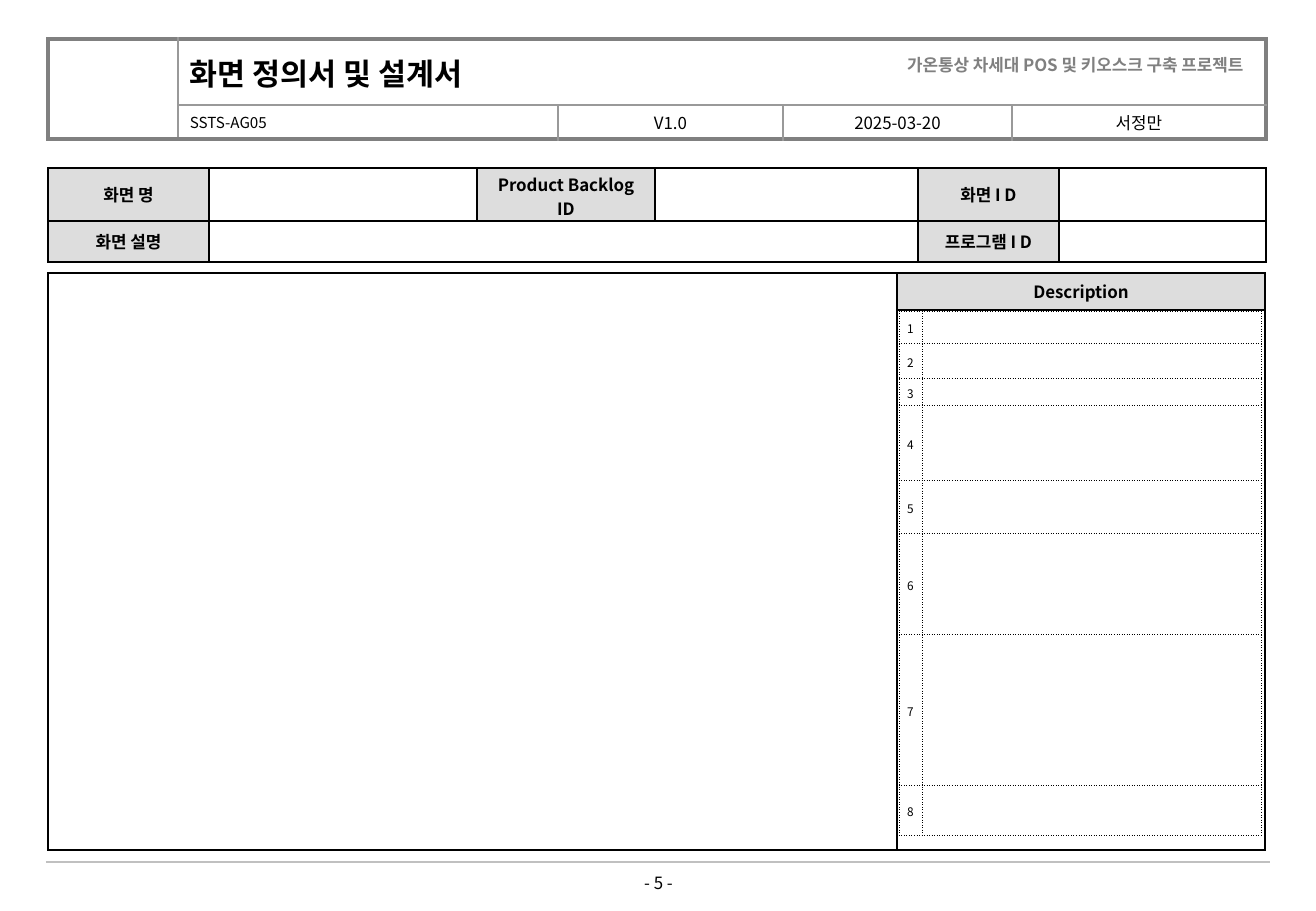
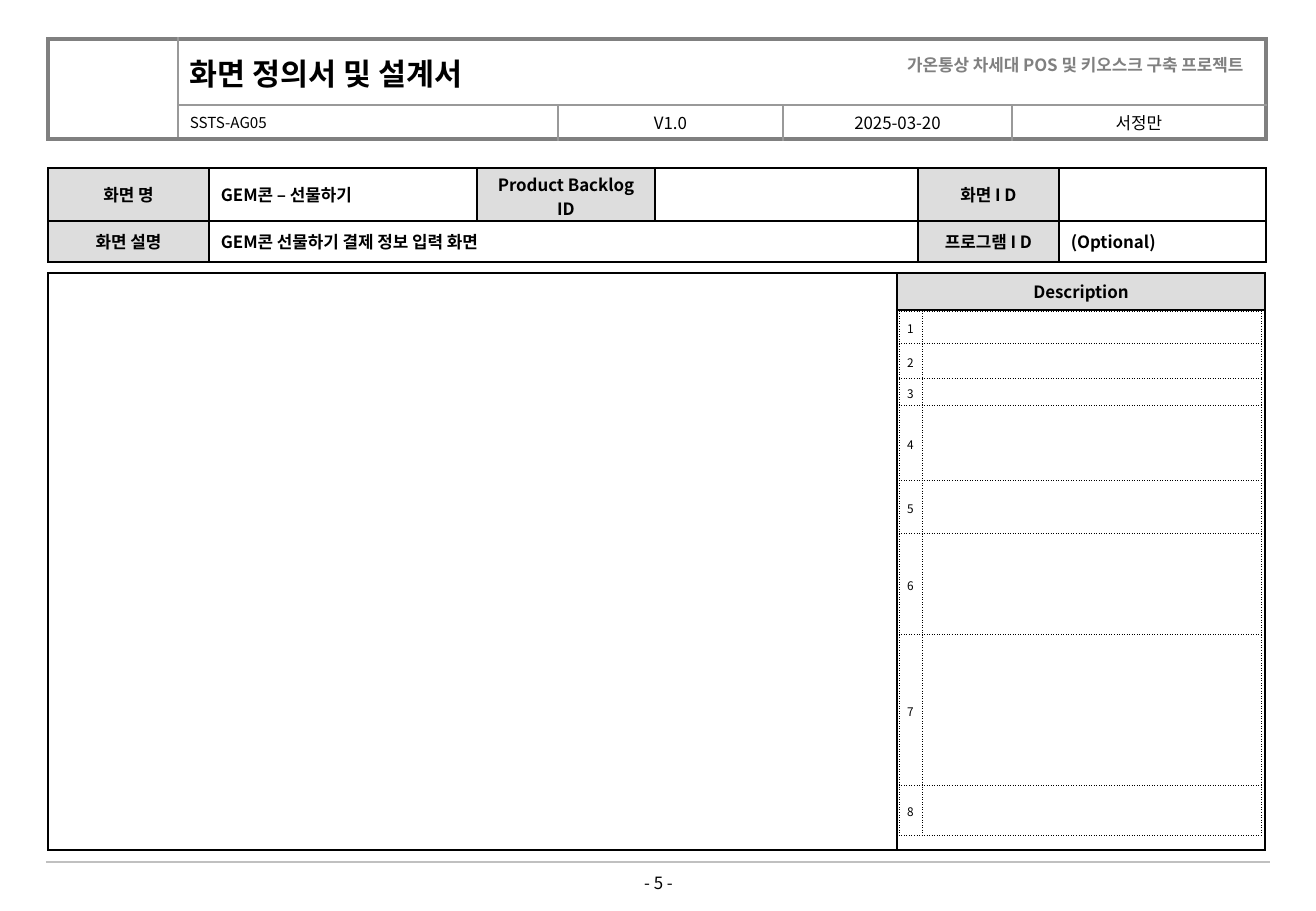
from lxml.etree import SubElement
from pptx import Presentation
from pptx.dml.color import RGBColor
from pptx.enum.text import MSO_ANCHOR, PP_ALIGN
from pptx.oxml.ns import qn
from pptx.util import Emu, Inches, Pt

PX_PER_INCH = 121.5
FONT = "Noto Sans CJK KR"
BLACK, GRAY, MID_GRAY, LIGHT_GRAY = "000000", "808080", "999999", "C0C0C0"
LABEL_FILL, WHITE = "DDDDDD", "FFFFFF"
THIN = (BLACK, 1, "solid")
DOTTED = (BLACK, 0.25, "sysDot")
FRAME = (GRAY, 2.25, "solid")
INNER = (MID_GRAY, 1, "solid")
LEFT, CENTER, RIGHT = PP_ALIGN.LEFT, PP_ALIGN.CENTER, PP_ALIGN.RIGHT

LABEL = {"size": 10, "bold": True, "align": CENTER, "fill": LABEL_FILL}
VALUE = {"size": 10, "bold": True}
CELL = {"size": 10, "align": CENTER}
NUMBER = {"size": 7, "align": CENTER, "spacing": 1.2, "fill": WHITE}


def px(value):
    return Emu(round(value * Inches(1) / PX_PER_INCH))


def color(value):
    return RGBColor.from_string(value)


def set_attributes(target, values):
    for name, value in values.items():
        setattr(target, name, value)


def set_edge(cell, side, line):
    """Draw one cell edge (L, R, T or B); a line of None hides it."""
    properties = cell._tc.get_or_add_tcPr()
    tag = qn(f"a:ln{side}")
    edge = properties.find(tag)
    if edge is None:
        edge = SubElement(properties, tag)
    for child in list(edge):
        edge.remove(child)
    if line is None:
        SubElement(edge, qn("a:noFill"))
        return
    line_color, width, dash = line
    edge.set("w", str(Pt(width)))
    fill = SubElement(edge, qn("a:solidFill"))
    SubElement(fill, qn("a:srgbClr")).set("val", line_color)
    SubElement(edge, qn("a:prstDash")).set("val", dash)


class Deck:
    """Holds the shared style and the slide being built."""

    def __init__(self, width, height):
        self.presentation = Presentation()
        set_attributes(self.presentation,
                       {"slide_width": px(width), "slide_height": px(height)})
        self.slide = None

    def add_slide(self):
        self.slide = self.presentation.slides.add_slide(
            self.presentation.slide_layouts[6])

    def fill_text(self, frame, text, size=10, bold=False, align=LEFT,
                  font_color=BLACK, spacing=None):
        paragraph = frame.paragraphs[0]
        set_attributes(paragraph, {"alignment": align, "line_spacing": spacing})
        if not text:
            paragraph._p.get_or_add_endParaRPr().set("sz", str(size * 100))
            return
        run = paragraph.add_run()
        run.text = text
        set_attributes(run.font, {"name": FONT, "size": Pt(size), "bold": bold})
        run.font.color.rgb = color(font_color)
        SubElement(run._r.get_or_add_rPr(), qn("a:ea")).set("typeface", FONT)

    def text(self, text, left, top, width, height, anchor=MSO_ANCHOR.TOP, **style):
        box = self.slide.shapes.add_textbox(*map(px, (left, top, width, height)))
        set_attributes(box.text_frame, {"word_wrap": True, "vertical_anchor": anchor})
        self.fill_text(box.text_frame, text, **style)

    def line(self, left, top, right, line_color, width):
        connector = self.slide.shapes.add_connector(
            1, *map(px, (left, top, right, top)))
        connector.line.color.rgb = color(line_color)
        connector.line.width = Pt(width)
        SubElement(connector._element.spPr, qn("a:effectLst"))

    def table(self, left, top, columns, rows, contents, inner, outer,
              merges=(), margins=(12, 2)):
        """Build a table; contents maps (row, column) to (text, style)."""
        table = self.slide.shapes.add_table(
            len(rows), len(columns),
            *map(px, (left, top, sum(columns), sum(rows)))).table
        set_attributes(table, {"first_row": False, "horz_banding": False})
        for column, width in zip(table.columns, columns):
            column.width = px(width)
        for row, height in zip(table.rows, rows):
            row.height = px(height)
        side, vertical = map(px, margins)
        for r in range(len(rows)):
            for c in range(len(columns)):
                cell = table.cell(r, c)
                set_attributes(cell, {
                    "margin_left": side, "margin_right": side,
                    "margin_top": vertical, "margin_bottom": vertical,
                    "vertical_anchor": MSO_ANCHOR.MIDDLE})
                on_border = {"L": c == 0, "R": c == len(columns) - 1,
                             "T": r == 0, "B": r == len(rows) - 1}
                for edge, is_outer in on_border.items():
                    set_edge(cell, edge, outer if is_outer else inner)
                text, style = contents.get((r, c), ("", {"size": 7}))
                style = dict(style)
                fill = style.pop("fill", None)
                if fill:
                    cell.fill.solid()
                    cell.fill.fore_color.rgb = color(fill)
                else:
                    cell.fill.background()
                self.fill_text(cell.text_frame, text, **style)
        for first, last in merges:
            table.cell(*first).merge(table.cell(*last))
            if last[1] == len(columns) - 1:
                set_edge(table.cell(*first), "R", outer)
            if last[0] == len(rows) - 1:
                set_edge(table.cell(*first), "B", outer)
        return table

    def header(self):
        contents = {
            (0, 1): ("화면 정의서 및 설계서", {"size": 18, "bold": True}),
            (1, 1): ("SSTS-AG05", {"size": 9}),
            (1, 2): ("V1.0", CELL),
            (1, 3): ("2025-03-20", CELL),
            (1, 5): ("서정만", CELL),
        }
        table = self.table(
            48, 39, [130, 380, 225, 125, 104, 254], [66, 34], contents, INNER, FRAME,
            merges=[((0, 0), (1, 0)), ((0, 1), (0, 3)),
                    ((0, 4), (0, 5)), ((1, 3), (1, 4))])
        for column, side in ((1, "R"), (3, "R"), (4, "L")):
            set_edge(table.cell(0, column), side, None)
        self.text("가온통상 차세대 POS 및 키오스크 구축 프로젝트", 825, 48, 430, 33,
                  anchor=MSO_ANCHOR.MIDDLE, bold=True, align=RIGHT, font_color=GRAY)

    def footer(self):
        self.line(46, 862, 1270, LIGHT_GRAY, 1.5)
        self.text("- 5 -", 577, 867, 163, 43, align=CENTER)

    def screen_info(self, name, description, program):
        contents = {
            (0, 0): ("화면 명", LABEL), (0, 1): (name, VALUE),
            (0, 2): ("Product Backlog ID", LABEL), (0, 4): ("화면 I D", LABEL),
            (1, 0): ("화면 설명", LABEL), (1, 1): (description, VALUE),
            (1, 4): ("프로그램 I D", LABEL), (1, 5): (program, VALUE),
        }
        table = self.table(48, 168, [161, 268, 178, 263, 141, 207], [53, 41],
                           contents, THIN, THIN, merges=[((1, 1), (1, 3))])
        set_attributes(table.cell(0, 2), {"margin_top": px(4), "margin_bottom": 0})

    def screen_area(self):
        self.table(48, 273, [849, 368], [37, 540], {(0, 1): ("Description", LABEL)},
                   THIN, THIN, merges=[((0, 0), (1, 0))])

    def description_list(self):
        rows = [32, 35, 27, 75, 53, 101, 151, 50]
        contents = {}
        for index in range(len(rows)):
            contents[index, 0] = (str(index + 1), NUMBER)
            contents[index, 1] = ("", NUMBER)
        self.table(899, 311, [23, 339], rows, contents, DOTTED, DOTTED, margins=(5, 3))

    def screen_slide(self, name="", description="", program=""):
        self.add_slide()
        self.header()
        self.screen_area()
        self.screen_info(name, description, program)
        self.footer()
        self.description_list()


def main():
    deck = Deck(1316, 911)
    deck.screen_slide()
    deck.screen_slide("GEM콘 – 선물하기", "GEM콘 선물하기 결제 정보 입력 화면", "(Optional)")
    deck.presentation.save("out.pptx")


if __name__ == "__main__":
    main()
